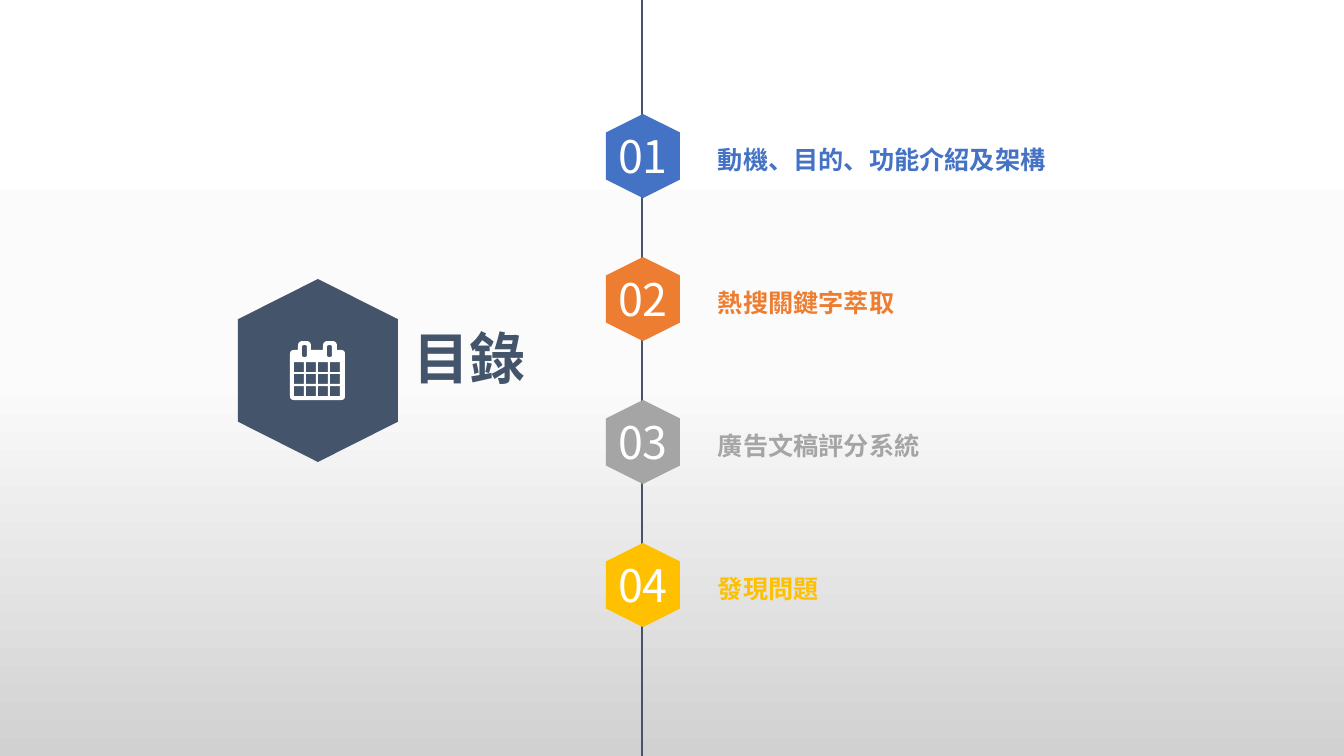
from copy import deepcopy

from lxml import etree
from pptx import Presentation
from pptx.dml.color import RGBColor
from pptx.enum.shapes import MSO_CONNECTOR
from pptx.enum.text import MSO_ANCHOR, PP_ALIGN
from pptx.oxml.ns import qn
from pptx.util import Pt

STRAIGHT = MSO_CONNECTOR.STRAIGHT
LEFT, CENTER = PP_ALIGN.LEFT, PP_ALIGN.CENTER
MIDDLE, BOTTOM = MSO_ANCHOR.MIDDLE, MSO_ANCHOR.BOTTOM

SCALE = 914400 / 100.8  # EMU in one px
WIDTH, HEIGHT = 1344, 756
FONT = "Noto Sans CJK SC"
COLORS = {
    "slate": "44546A",
    "blue": "4472C4",
    "orange": "ED7D31",
    "gray": "A5A5A5",
    "yellow": "FFC000",
    "white": "FFFFFF",
    "mist": "FBFBFB",
    "silver": "D1D1D1",
}
CHAPTERS = [
    ("動機、目的、功能介紹及架構", "blue"),
    ("熱搜關鍵字萃取", "orange"),
    ("廣告文稿評分系統", "gray"),
    ("發現問題", "yellow"),
]
CHAPTER_TOP, CHAPTER_PITCH = 114, 143


def px(value):
    return round(value * SCALE)


def color(name):
    return RGBColor.from_string(COLORS[name])


def write_text(shape, text, size, color_name, bold=False, align=LEFT,
               anchor=MIDDLE, wrap=False, inset=None):
    frame = shape.text_frame
    frame.word_wrap = wrap
    frame.vertical_anchor = anchor
    if inset is not None:
        frame.margin_left = frame.margin_right = px(inset)
        frame.margin_top = frame.margin_bottom = px(inset)
    paragraph = frame.paragraphs[0]
    paragraph.alignment = align
    run = paragraph.add_run()
    run.text = text
    run.font.size = Pt(size)
    run.font.bold = bold
    run.font.color.rgb = color(color_name)
    run.font.name = FONT
    east_asian = etree.SubElement(run.font._element, qn("a:ea"))
    east_asian.set("typeface", FONT)


def add_text(shapes, left, top, width, height, text, **text_format):
    box = shapes.add_textbox(px(left), px(top), px(width), px(height))
    write_text(box, text, inset=0, **text_format)


def add_outline(shapes, contours, fill):
    """One filled freeform; contours after the first cut holes."""
    contours = [[(px(x), px(y)) for x, y in contour] for contour in contours]
    builder = shapes.build_freeform(*contours[0][0])
    builder.add_line_segments(contours[0][1:])
    for hole in contours[1:]:
        builder.move_to(*hole[0])
        builder.add_line_segments(hole[1:])
    shape = builder.convert_to_shape()
    shape.shadow.inherit = False
    shape.fill.solid()
    shape.fill.fore_color.rgb = color(fill)
    shape.line.fill.background()
    return shape


def add_hexagon(shapes, left, top, width, height, fill):
    middle, right, bottom = left + width / 2, left + width, top + height
    shoulder = height * 0.22
    points = [(middle, top), (right, top + shoulder), (right, bottom - shoulder),
              (middle, bottom), (left, bottom - shoulder), (left, top + shoulder)]
    return add_outline(shapes, [points], fill)


def rounded(corners, steps=5):
    """Replace each (x, y, radius) corner by points on a curve."""
    points = []
    for index, (x, y, radius) in enumerate(corners):
        ends = []
        for other_x, other_y, _ in (corners[index - 1],
                                    corners[(index + 1) % len(corners)]):
            length = abs(other_x - x) + abs(other_y - y)
            ends.append((x + (other_x - x) * radius / length,
                         y + (other_y - y) * radius / length))
        (start_x, start_y), (end_x, end_y) = ends
        for step in range(steps + 1 if radius else 1):
            t = step / steps
            points.append((
                (1 - t) ** 2 * start_x + 2 * t * (1 - t) * x + t ** 2 * end_x,
                (1 - t) ** 2 * start_y + 2 * t * (1 - t) * y + t ** 2 * end_y))
    return points


def hole(left, top, width, height, radius=0):
    right, bottom = left + width, top + height
    return rounded([(left, top, radius), (left, bottom, radius),
                    (right, bottom, radius), (right, top, radius)])


def add_calendar(shapes):
    # Body with two binder rings
    corners = [(290, 350, 4)]
    for left, right in ((298, 311), (323, 337)):
        corners += [(left, 350, 0), (left, 341, 5), (right, 341, 5), (right, 350, 0)]
    corners += [(345, 350, 4), (345, 400, 4), (290, 400, 4)]
    # Ring slots and day cells
    slots = [hole(left, 345, 5, 12, 2) for left in (302, 327)]
    days = [hole(294 + 12 * column, 362 + 12 * row, 10, 10)
            for row in range(3) for column in range(4)]
    add_outline(shapes, [rounded(corners)] + slots + days, "white")


def add_background(slide):
    fill = slide.background.fill
    fill.gradient()
    fill.gradient_angle = 270
    stop_list = next(slide.element.iter(qn("a:gsLst")))
    stop_list.append(deepcopy(stop_list[0]))
    names = ("white", "mist", "silver")
    for stop, position, name in zip(fill.gradient_stops, (0, 0.5, 1), names):
        stop.position = position
        stop.color.rgb = color(name)


def add_timeline(shapes):
    line = shapes.add_connector(STRAIGHT, px(642), 0, px(642), px(HEIGHT))
    line.line.color.rgb = color("slate")
    line.line.width = Pt(1)
    etree.SubElement(line._element.spPr, qn("a:effectLst"))


def add_chapter(slide, number, title, color_name):
    shapes = slide.shapes.add_group_shape().shapes
    top = CHAPTER_TOP + (number - 1) * CHAPTER_PITCH
    badge = add_hexagon(shapes, 606, top, 74, 84, color_name)
    write_text(badge, f"{number:02d}", size=32, color_name="white", align=CENTER)
    add_text(shapes, 718, top + 23, 393, 38, title, size=18,
             color_name=color_name, bold=True, anchor=BOTTOM)


def main():
    presentation = Presentation()
    presentation.slide_width, presentation.slide_height = px(WIDTH), px(HEIGHT)
    slide = presentation.slides.add_slide(presentation.slide_layouts[6])
    add_background(slide)
    add_timeline(slide.shapes)

    # Heading with calendar emblem
    emblem = slide.shapes.add_group_shape().shapes
    add_hexagon(emblem, 238, 279, 160, 183, "slate")
    add_calendar(emblem)
    add_text(slide.shapes, 398, 324, 143, 67, "目錄", size=40,
             color_name="slate", bold=True, align=CENTER, wrap=True)

    # Chapters
    for number, (title, color_name) in enumerate(CHAPTERS, start=1):
        add_chapter(slide, number, title, color_name)

    presentation.save("out.pptx")


if __name__ == "__main__":
    main()
